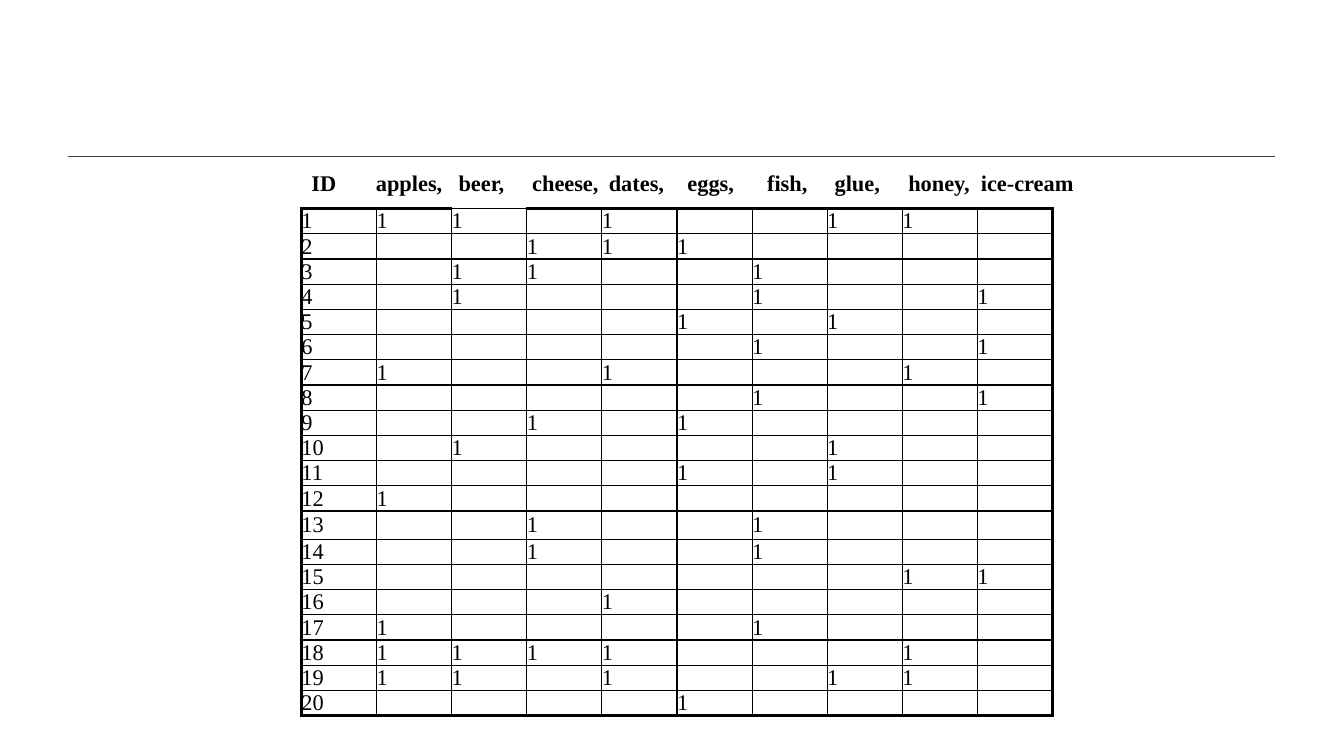
import pptx
import pptx.dml.color
import pptx.enum.shapes
import pptx.enum.text
import pptx.oxml
import pptx.oxml.ns
import pptx.util
from lxml import etree

Inches = pptx.util.Inches
Pt = pptx.util.Pt

HEADINGS = ["ID", "apples,", "beer,", "cheese,", "dates,", "eggs,",
            "fish,", "glue,", "honey,", "ice-cream"]
HEADING_TABS = [0.64, 1.46, 2.19, 2.95, 3.73, 4.52, 5.19, 5.92, 6.64]
BASKETS = [
    (1, 2, 4, 7, 8), (3, 4, 5), (2, 3, 6), (2, 6, 9), (5, 7),
    (6, 9), (1, 4, 8), (6, 9), (3, 5), (2, 7),
    (5, 7), (1,), (3, 6), (3, 6), (8, 9),
    (4,), (1, 6), (1, 2, 3, 4, 8), (1, 2, 4, 7, 8), (5,),
]
BLACK = "000000"
RULE_GRAY = "404040"
FONT = {"name": "Times New Roman", "size": Pt(16)}
CELL_FORMAT = {"margin_left": 0, "margin_right": 0, "margin_top": 0, "margin_bottom": 0,
               "vertical_anchor": pptx.enum.text.MSO_ANCHOR.MIDDLE}
TABLE_FLAGS = {"first_row": False, "horz_banding": False}
TABLE_LEFT, TABLE_TOP, TABLE_WIDTH = 2.99, 2.07, 7.45
ROW_HEIGHT, TALL_ROW, TALL_ROW_HEIGHT = 0.25, 12, 0.28
THIN, THICK = 1, 2.25
UNBOLDED_TOP_COLUMN = 2


def color(hex_string):
    return pptx.dml.color.RGBColor.from_string(hex_string)


def set_attributes(target, values):
    for name, value in values.items():
        setattr(target, name, value)


def add_child(parent, tag, **attributes):
    child = etree.SubElement(parent, pptx.oxml.ns.qn(tag))
    for name, value in attributes.items():
        child.set(name, str(value))
    return child


def write_text(paragraph, text, bold=False):
    run = paragraph.add_run()
    run.text = text
    set_attributes(run.font, {**FONT, "bold": bold})
    run.font.color.rgb = color(BLACK)


def set_empty_font(paragraph):
    ending = add_child(paragraph._p, "a:endParaRPr", sz=FONT["size"].centipoints)
    add_child(ending, "a:latin", typeface=FONT["name"])


def set_borders(cell, widths):
    properties = cell._tc.get_or_add_tcPr()
    for index, (side, width) in enumerate(widths.items()):
        border = add_child(properties, f"a:ln{side}", w=Pt(width))
        add_child(add_child(border, "a:solidFill"), "a:srgbClr", val=BLACK)
        properties.insert(index, border)


def add_rule(slide):
    rule = slide.shapes.add_connector(
        pptx.enum.shapes.MSO_CONNECTOR.STRAIGHT,
        Inches(0.67), Inches(1.55), Inches(12.65), Inches(1.55))
    rule.line.color.rgb = color(RULE_GRAY)
    rule.line.width = Pt(1)
    add_child(rule._element.spPr, "a:effectLst")


def add_basket_table(slide):
    row_count, column_count = len(BASKETS), len(HEADINGS)
    height = ROW_HEIGHT * (row_count - 1) + TALL_ROW_HEIGHT
    table = slide.shapes.add_table(
        row_count, column_count, Inches(TABLE_LEFT), Inches(TABLE_TOP),
        Inches(TABLE_WIDTH), Inches(height)).table
    set_attributes(table, TABLE_FLAGS)
    for column in table.columns:
        column.width = Inches(TABLE_WIDTH / column_count)
    for row_index, basket in enumerate(BASKETS):
        tall = row_index == TALL_ROW
        table.rows[row_index].height = Inches(TALL_ROW_HEIGHT if tall else ROW_HEIGHT)
        for column_index in range(column_count):
            cell = table.cell(row_index, column_index)
            set_attributes(cell, CELL_FORMAT)
            cell.fill.background()
            thick_top = row_index == 0 and column_index != UNBOLDED_TOP_COLUMN
            set_borders(cell, {
                "L": THICK if column_index == 0 else THIN,
                "R": THICK if column_index == column_count - 1 else THIN,
                "T": THICK if thick_top else THIN,
                "B": THICK if row_index == row_count - 1 else THIN,
            })
            paragraph = cell.text_frame.paragraphs[0]
            if column_index == 0:
                write_text(paragraph, str(row_index + 1))
            elif column_index in basket:
                write_text(paragraph, "1")
            else:
                set_empty_font(paragraph)


def add_headings(slide):
    box = slide.shapes.add_textbox(Inches(2.99), Inches(1.63), Inches(8.24), Inches(0.37))
    box.text_frame.word_wrap = True
    paragraph = box.text_frame.paragraphs[0]
    tabs = add_child(paragraph._p.get_or_add_pPr(), "a:tabLst")
    for position in HEADING_TABS:
        add_child(tabs, "a:tab", pos=Inches(position), algn="l")
    write_text(paragraph, "\t".join(HEADINGS), bold=True)


def main():
    presentation = pptx.Presentation()
    presentation.slide_width = Inches(13.33)
    presentation.slide_height = Inches(7.5)
    slide = presentation.slides.add_slide(presentation.slide_layouts[6])
    add_rule(slide)
    add_basket_table(slide)
    add_headings(slide)
    presentation.save("out.pptx")


if __name__ == "__main__":
    main()
